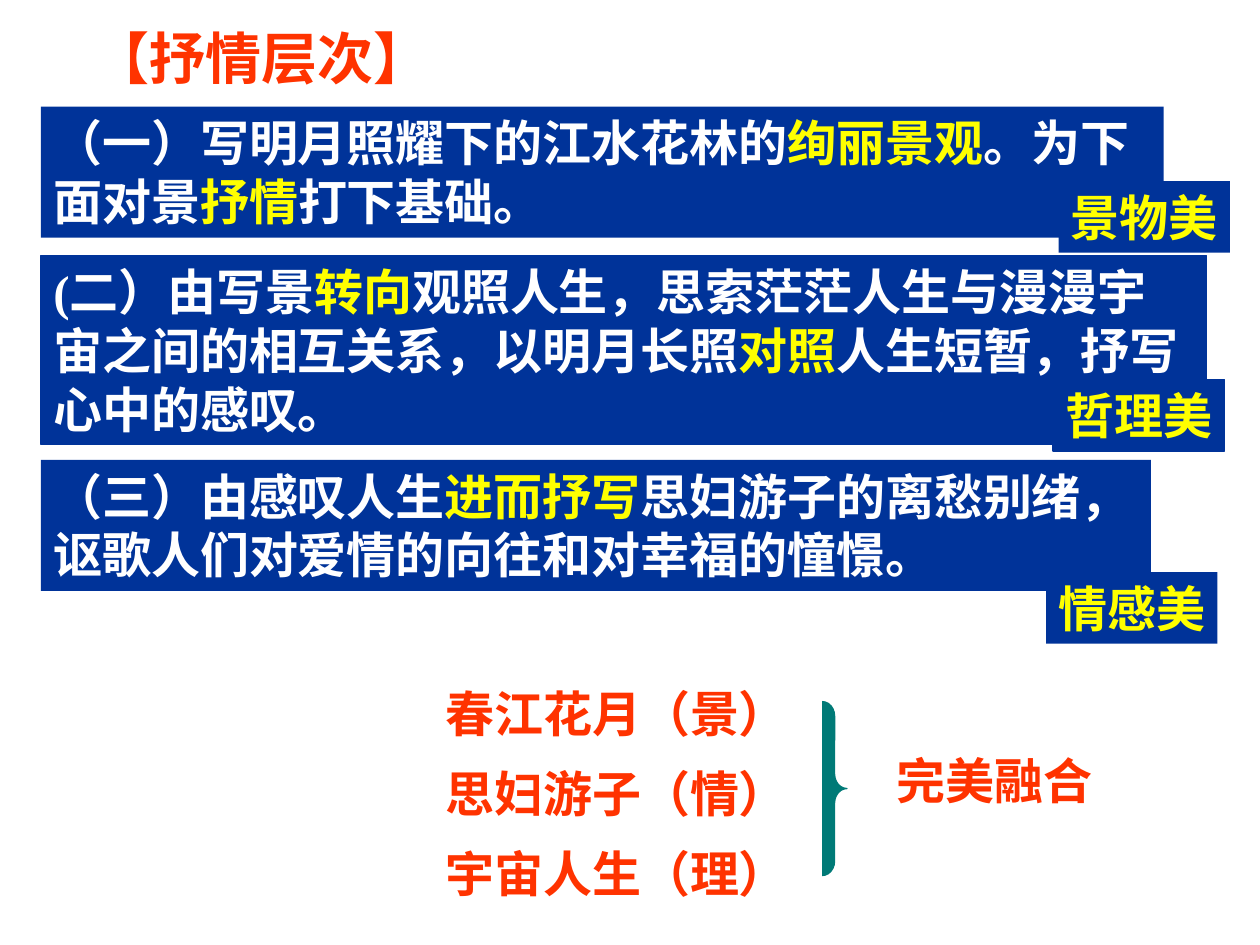
from pptx import Presentation
from pptx.dml.color import RGBColor
from pptx.enum.shapes import MSO_SHAPE as Shape
from pptx.enum.text import MSO_ANCHOR as Anchor, PP_ALIGN as Align
from pptx.util import Pt

COLORS = {"red": "FF3300", "blue": "003399", "white": "FFFFFF",
          "yellow": "FFFF00", "teal": "007A77"}
SERIF = "Times New Roman"
SANS = "Noto Sans CJK SC"
LABEL_SIZE = (97.9, 41)

STAGES = [
    ((23.4, 61, 641.5, 74.9), "（一）写明月照耀下的江水花林的|绚丽景观|。为下面对景|抒情|打下基础。",
     "景物美", (605, 103.5), False),
    ((23.4, 146, 666, 108), "(二）由写景|转向|观照人生，思索茫茫人生与漫漫宇宙之间的相互关系，"
     "以明月长照|对照|人生短暂，抒写心中的感叹。", "哲理美", (601.7, 216.7), True),
    ((23.4, 262.8, 634.3, 74.9), "（三）由感叹人生|进而抒写|思妇游子的离愁别绪，讴歌人们对爱情的向往和对幸福的憧憬。",
     "情感美", (597.8, 326.9), False),
]
THEMES = ["春江花月（景）", "思妇游子（情）", "宇宙人生（理）"]


def color(name):
    return RGBColor.from_string(COLORS[name])


def style(para, font, size, name, align=Align.CENTER):
    para.alignment = align
    para.font.name = font
    para.font.size = Pt(size)
    para.font.bold = True
    para.font.color.rgb = color(name)


def add_filled(page, kind, box, name, outlined):
    shape = page.shapes.add_shape(kind, *map(Pt, box))
    shape.shadow.inherit = False
    shape.fill.solid()
    shape.fill.fore_color.rgb = color(name)
    if outlined:
        shape.line.color.rgb = color(name)
        shape.line.width = Pt(0.75)
    else:
        shape.line.fill.background()
    shape.text_frame.vertical_anchor = Anchor.TOP
    return shape


def add_title(page, box):
    title = page.shapes.title
    title.left, title.top, title.width, title.height = map(Pt, box)
    frame = title.text_frame
    frame.text = "【抒情层次】"
    frame.word_wrap = False
    frame.vertical_anchor = Anchor.TOP
    style(frame.paragraphs[0], SERIF, 32, "red")


def add_stage(page, box, text, label, corner, outlined):
    panel = add_filled(page, Shape.RECTANGLE, box, "blue", outlined)
    panel.text_frame.word_wrap = True
    para = panel.text_frame.paragraphs[0]
    style(para, SERIF, 28, "white", Align.LEFT)
    for index, part in enumerate(text.split("|")):
        span = para.add_run()
        span.text = part
        span.font.color.rgb = color("yellow" if index % 2 else "white")

    tag = add_filled(page, Shape.RECTANGLE, (*corner, *LABEL_SIZE), "blue", outlined)
    tag.text_frame.text = label
    tag.text_frame.word_wrap = False
    style(tag.text_frame.paragraphs[0], SERIF, 28, "yellow")


def add_caption(page, box, text):
    frame = page.shapes.add_textbox(*map(Pt, box)).text_frame
    frame.text = text
    frame.word_wrap = False
    style(frame.paragraphs[0], SANS, 28, "red")


def add_summary(page, left, top):
    for row, theme in enumerate(THEMES):
        add_caption(page, (left, top + row * 45.7, 210.2, 41), theme)
    brace = add_filled(page, Shape.RIGHT_BRACE, (left + 222.5, top + 13.7, 14.2, 99.4), "teal", True)
    brace.adjustments[0] = 0.58
    add_caption(page, (left + 257.7, top + 38.2, 126.4, 41), "完美融合")


def main():
    deck = Presentation()
    deck.slide_width, deck.slide_height = Pt(720), Pt(540)
    page = deck.slides.add_slide(deck.slide_layouts[5])
    add_title(page, (29.4, 10.1, 240, 46.1))
    for stage in STAGES:
        add_stage(page, *stage)
    add_summary(page, 247.3, 387.2)
    deck.save("out.pptx")


if __name__ == "__main__":
    main()
